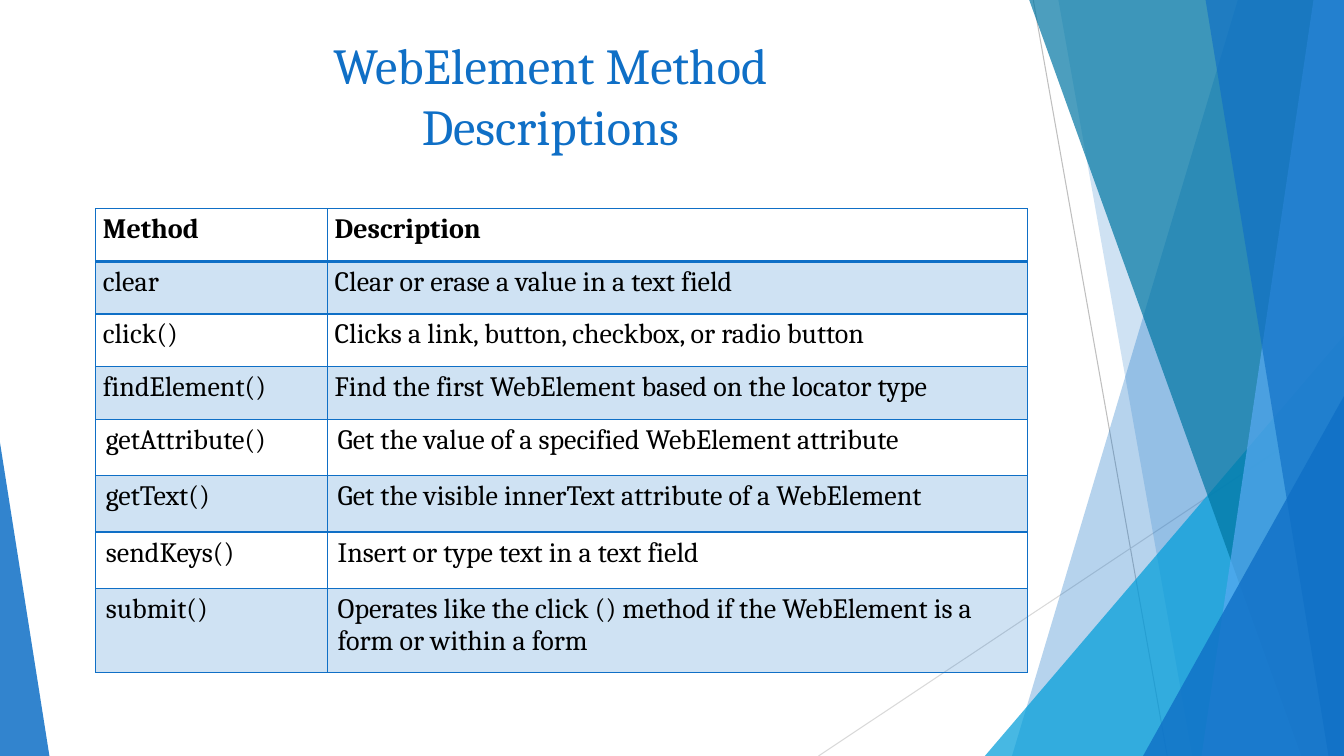
from dataclasses import dataclass
from typing import Any

from lxml.etree import SubElement
from pptx import Presentation
from pptx.dml.color import RGBColor
from pptx.enum.shapes import MSO_CONNECTOR, MSO_SHAPE
from pptx.enum.text import PP_ALIGN
from pptx.oxml import parse_xml
from pptx.oxml.ns import nsdecls, qn
from pptx.util import Inches, Pt

METHODS = [
    ("Method", "Description"),
    ("clear", "Clear or erase a value in a text field"),
    ("click()", "Clicks a link, button, checkbox, or radio button"),
    ("findElement()", "Find the first WebElement based on the locator type"),
    ("getAttribute()", "Get the value of a specified WebElement attribute"),
    ("getText()", "Get the visible innerText attribute of a WebElement"),
    ("sendKeys()", "Insert or type text in a text field"),
    ("submit()", "Operates like the click () method if the WebElement is a "
                 "form or within a form"),
]
COLUMN_WIDTHS = [17.25, 52.05]
ROW_HEIGHTS = [6.97] * 4 + [7.45] * 3 + [11.1]
SPACED_ROWS = 4


def color(value):
    return RGBColor.from_string(value)


def write(frame, text, font="Cambria", size=20, tone="000000", bold=False,
          align=PP_ALIGN.LEFT, spacing=None, after=None):
    frame.word_wrap = True
    paragraph = frame.paragraphs[0]
    paragraph.text = text
    paragraph.alignment = align
    paragraph.line_spacing = spacing
    paragraph.space_after = after
    for run in paragraph.runs:
        run.font.name = font
        run.font.size = Pt(size)
        run.font.bold = bold
        run.font.color.rgb = color(tone)


@dataclass
class Deck:
    """Draws on one slide, with lengths in percent of its width and height."""
    slide: Any
    width: int
    height: int
    accent: str = "0F6FC6"

    def x(self, share):
        return round(self.width * share / 100)

    def y(self, share):
        return round(self.height * share / 100)

    def box(self, left, top, width, height):
        return self.x(left), self.y(top), self.x(width), self.y(height)

    def tint(self, fill, element, tone, opacity):
        fill.solid()
        fill.fore_color.rgb = color(tone)
        for srgb in element.xpath(".//a:solidFill/a:srgbClr"):
            if srgb.get("val") == tone:
                SubElement(srgb, qn("a:alpha")).set("val", str(opacity * 1000))

    def finish(self, shape, tone, opacity):
        shape.shadow.inherit = False
        shape.line.fill.background()
        self.tint(shape.fill, shape._element.spPr, tone, opacity)

    def line(self, start, end, tone):
        ray = self.slide.shapes.add_connector(
            MSO_CONNECTOR.STRAIGHT, self.x(start[0]), self.y(start[1]),
            self.x(end[0]), self.y(end[1]))
        ray.line.color.rgb = color(tone)
        ray.line.width = Pt(0.75)
        SubElement(ray._element.spPr, qn("a:effectLst"))

    def band(self, top_left, bottom_left, tone, opacity):
        corners = [(self.x(across), self.y(down)) for across, down in
                   [(top_left, 0), (100, 0), (100, 100), (bottom_left, 100)]]
        outline = self.slide.shapes.build_freeform(*corners[0], scale=1.0)
        outline.add_line_segments(corners[1:], close=True)
        self.finish(outline.convert_to_shape(), tone, opacity)

    def triangle(self, left, top, width, apex, tone, opacity):
        wedge = self.slide.shapes.add_shape(
            MSO_SHAPE.ISOSCELES_TRIANGLE, *self.box(left, top, width, 100 - top))
        wedge.adjustments[0] = apex
        self.finish(wedge, tone, opacity)

    def title(self, text, left, top, width, height):
        heading = self.slide.shapes.add_textbox(*self.box(left, top, width, height))
        write(heading.text_frame, text, size=36, tone=self.accent,
              align=PP_ALIGN.CENTER)

    def borders(self, cell, widths):
        properties = cell._tc.get_or_add_tcPr()
        for place, (side, points) in enumerate(widths.items()):
            properties.insert(place, parse_xml(
                f'<a:ln{side} {nsdecls("a")} w="{Pt(points)}"><a:solidFill>'
                f'<a:srgbClr val="{self.accent}"/></a:solidFill></a:ln{side}>'))

    def table(self, rows, left, top, widths, heights):
        grid = self.slide.shapes.add_table(
            len(rows), len(widths),
            *self.box(left, top, sum(widths), sum(heights))).table
        grid.first_row = grid.horz_banding = False
        for column, share in zip(grid.columns, widths):
            column.width = self.x(share)
        for index, (row, share) in enumerate(zip(grid.rows, heights)):
            row.height = self.y(share)
            for cell, text in zip(row.cells, rows[index]):
                self.cell(cell, text, index)

    def cell(self, cell, text, index):
        spaced = index < SPACED_ROWS
        if spaced:
            cell.margin_left = cell.margin_right = Inches(0.07)
            cell.margin_top = cell.margin_bottom = 0
        write(cell.text_frame, text, bold=index == 0,
              spacing=1.15 if spaced else None, after=Pt(10) if spaced else None)
        if index % 2:
            self.tint(cell.fill, cell._tc.tcPr, self.accent, 20)
        else:
            cell.fill.background()
        self.borders(cell, {"L": 1, "R": 1, "T": 2 if index == 1 else 1,
                            "B": 2 if index == 0 else 1})


def main():
    presentation = Presentation()
    presentation.slide_width = Inches(13.33)
    presentation.slide_height = Inches(7.5)
    slide = presentation.slides.add_slide(presentation.slide_layouts[6])
    deck = Deck(slide, presentation.slide_width, presentation.slide_height)

    deck.line((76.88, 0), (86.85, 100), "BFBFBF")
    deck.line((100, 53.73), (60.9, 100), "D9D9D9")
    deck.band(92.1, 75.3, deck.accent, 30)
    deck.band(78.75, 88.73, deck.accent, 20)
    deck.triangle(73.28, 44.4, 26.72, 1, "009DD9", 72)
    deck.band(76.58, 96.83, "0076A3", 70)
    deck.band(97.73, 89.4, "59AAF2", 70)
    deck.band(89.7, 98.85, deck.accent, 65)
    deck.triangle(85.05, 52.4, 14.95, 1, deck.accent, 80)
    deck.triangle(0, 58.53, 3.68, 0, deck.accent, 85)

    deck.title("WebElement Method\vDescriptions", 8.03, 3.87, 65.85, 15.6)
    deck.table(METHODS, 7.13, 27.6, COLUMN_WIDTHS, ROW_HEIGHTS)
    presentation.save("out.pptx")


if __name__ == "__main__":
    main()
